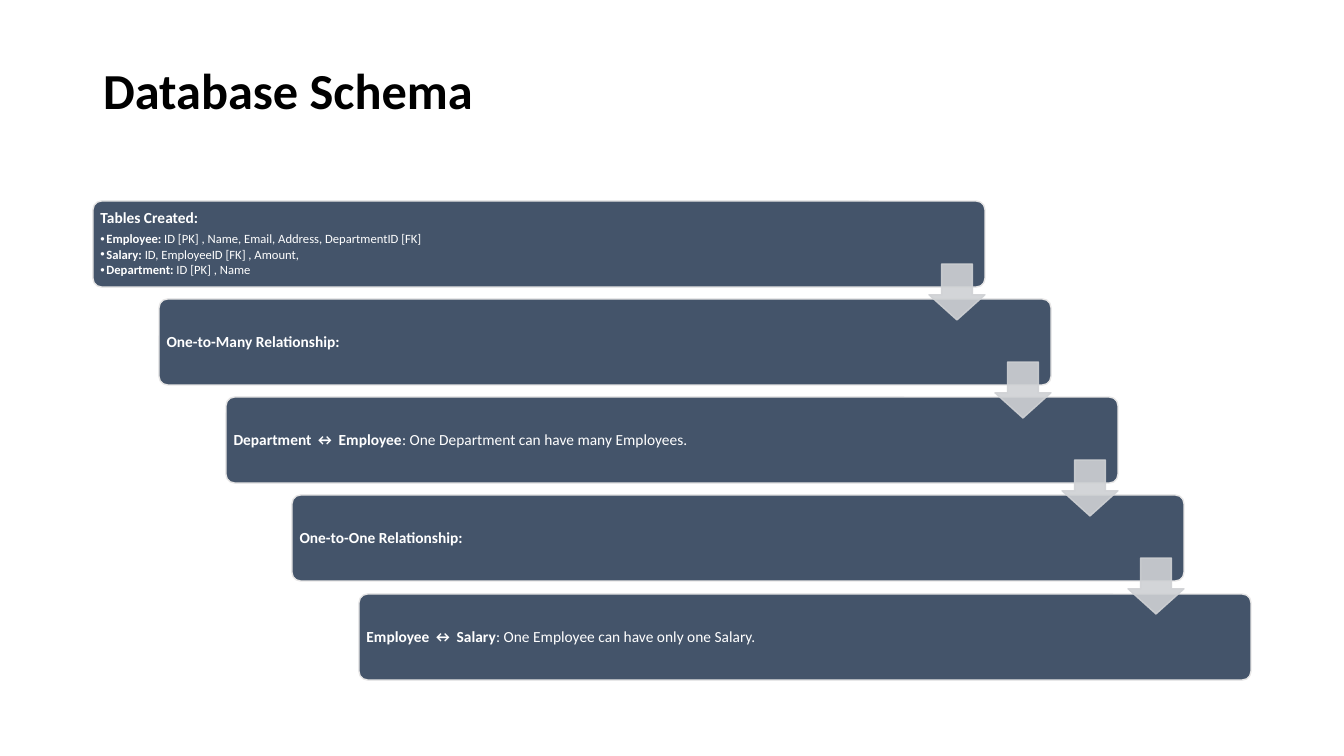
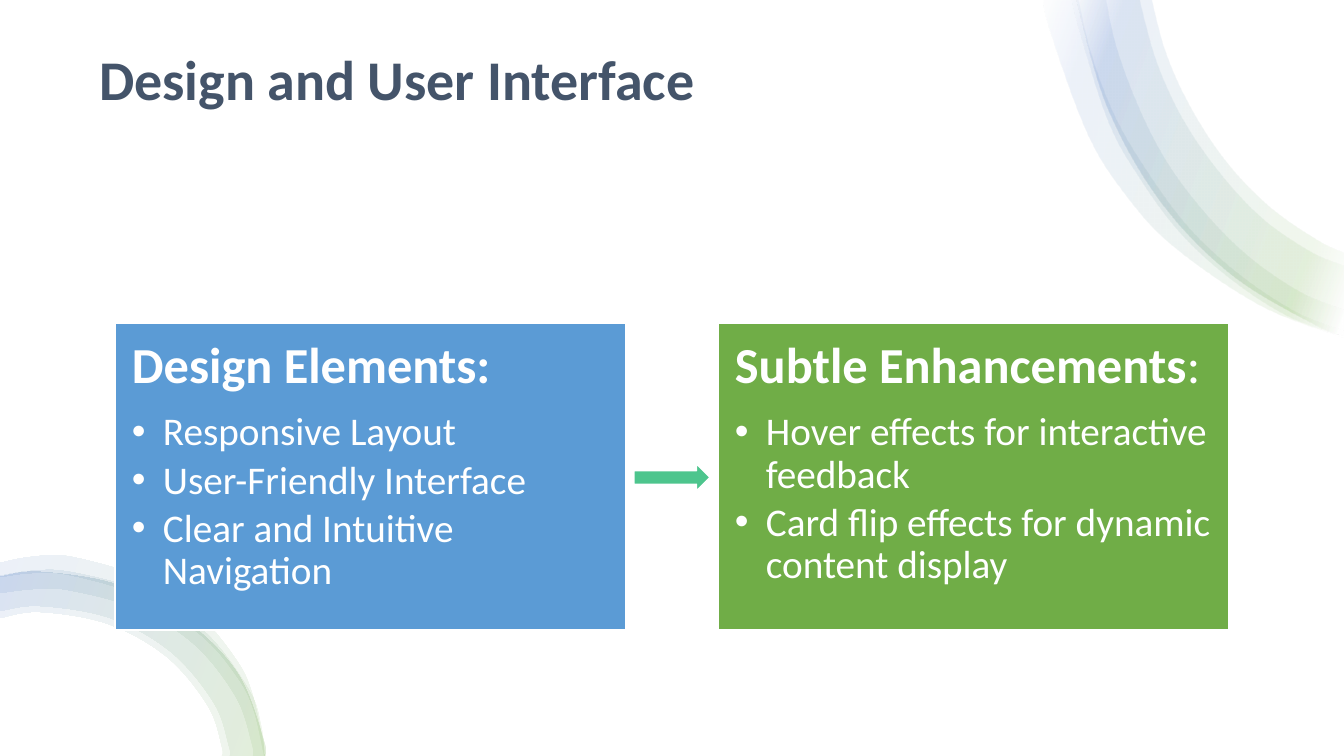
from lxml.etree import SubElement
from pptx import Presentation
from pptx.dml.color import RGBColor
from pptx.enum.shapes import MSO_SHAPE as SHAPE
from pptx.enum.text import MSO_ANCHOR as ANCHOR, MSO_AUTO_SIZE as AUTO, PP_ALIGN as ALIGN
from pptx.oxml import parse_xml
from pptx.oxml.ns import nsdecls, qn
from pptx.util import Pt

PX = 914400 / 100.8
FONT = "Calibri"
COLORS = {
    "black": "000000", "white": "FFFFFF", "slate": "44546A", "pale": "E7E6E6",
    "silver": "CFD1D4", "blue": "5B9BD5", "green": "70AD47", "mint": "4DC58D",
    "royal": "4472C4",
}
RGB = {name: RGBColor.from_string(value) for name, value in COLORS.items()}


def px(*lengths):
    """Turn px lengths into a list of EMU."""
    return [round(length * PX) for length in lengths]


def write_list(tf, entries, sizes, indent, insets):
    """Write a heading and bullets; each entry is a (bold, plain) pair."""
    tf.word_wrap, tf.auto_size = True, AUTO.NONE
    tf.margin_left, tf.margin_top = tf.margin_right, tf.margin_bottom = px(*insets)
    for i, entry in enumerate(entries):
        p = tf.add_paragraph() if i else tf.paragraphs[0]
        size, gap = (sizes[1], 0.15) if i else (sizes[0], 0.35)
        p.alignment, p.line_spacing = ALIGN.LEFT, 0.9
        p.space_before, p.space_after = Pt(0), Pt(size * gap)
        pPr = p._p.get_or_add_pPr()
        margin = px(indent)[0] if i else 0
        pPr.set("marL", str(margin))
        pPr.set("indent", str(-margin))
        if i:
            SubElement(pPr, qn("a:buFont")).set("typeface", "Arial")
            SubElement(pPr, qn("a:buChar")).set("char", "•")
        else:
            SubElement(pPr, qn("a:buNone"))
        for text, bold in zip(entry, (True, False)):
            if text:
                r = p.add_run()
                r.text = text
                r.font.name, r.font.size, r.font.bold = FONT, Pt(size), bold
                r.font.color.rgb = RGB["white"]


prs = Presentation()
prs.slide_width, prs.slide_height = px(1344, 756)

# Both slides and their titles
TITLES = [
    ("Database Schema", 5, (93, 62, 1159, 125), 4, 36, "black"),
    ("Design and User Interface", 3, (89, 50, 1166, 131), 2, 40, "slate"),
]
for text, layout, box, inset, size, color in TITLES:
    s = prs.slides.add_slide(prs.slide_layouts[layout])
    title = s.shapes.title
    title.left, title.top, title.width, title.height = px(*box)
    tf = title.text_frame
    tf.text = text
    tf.vertical_anchor, tf.auto_size, tf.word_wrap = ANCHOR.TOP, AUTO.NONE, True
    tf.margin_top = px(inset)[0]
    p = tf.paragraphs[0]
    p.alignment, p.line_spacing = ALIGN.LEFT, 0.9
    font = p.runs[0].font
    font.name, font.size, font.bold = FONT, Pt(size), True
    font.color.rgb = RGB[color]
schema, design = prs.slides

# Schema: a staircase of cards joined by arrows
CARDS = [
    [("Tables Created:", ""),
     ("Employee:", " ID [PK] , Name, Email, Address, DepartmentID [FK]"),
     ("Salary:", " ID, EmployeeID [FK] , Amount,"),
     ("Department:", " ID [PK] , Name")],
    [("One-to-Many Relationship:", "")],
    [("Department ↔ Employee", ": One Department can have many Employees.")],
    [("One-to-One Relationship:", "")],
    [("Employee ↔ Salary", ": One Employee can have only one Salary.")],
]
corners = [(93 + 266 * i // 4, 201 + 393 * i // 4) for i in range(len(CARDS))]
for (left, top), entries in zip(corners, CARDS):
    card = schema.shapes.add_shape(SHAPE.ROUNDED_RECTANGLE, *px(left, top, 892, 86))
    card.adjustments[0] = 0.1
    card.shadow.inherit = False
    card.fill.solid()
    card.fill.fore_color.rgb = RGB["slate"]
    card.line.color.rgb, card.line.width = RGB["pale"], Pt(1)
    card.text_frame.vertical_anchor = ANCHOR.MIDDLE
    write_list(card.text_frame, entries, (11, 9), 6, (5, 5))
for left, top in corners[:-1]:
    arrow = schema.shapes.add_shape(SHAPE.DOWN_ARROW, *px(left + 836, top + 63, 56, 56))
    arrow.adjustments[0], arrow.adjustments[1] = 0.55, 0.45
    arrow.shadow.inherit = False
    arrow.fill.solid()
    arrow.fill.fore_color.rgb = RGB["silver"]
    arrow.line.color.rgb, arrow.line.width = RGB["silver"], Pt(1)
    for clr in arrow._element.spPr.iter(qn("a:srgbClr")):
        SubElement(clr, qn("a:alpha")).set("val", "90000")

# Design: white backdrop behind everything
backdrop = design.shapes.add_shape(SHAPE.RECTANGLE, 0, 0, prs.slide_width, prs.slide_height)
backdrop.shadow.inherit = False
backdrop.fill.solid()
backdrop.fill.fore_color.rgb = RGB["white"]
backdrop.line.fill.background()
design.shapes.title._element.addprevious(backdrop._element)

# Design: translucent ribbons, each an outer edge and an inner edge back
TOP_EDGE = [(1344, 335), (1319, 327), (1233, 276), (1161, 202), (1108, 108), (1078, 4), (1076, -9)]
LOW_EDGE = [(265, 756), (264, 741), (238, 674), (186, 621), (118, 585), (40, 572), (0, 577)]
TOP_RIBBONS = [
    ([(1344, 338), (1261, 306), (1174, 247), (1125, 194), (1087, 132), (1049, 26), (1044, -9)],
     [(1077, -9), (1091, 52), (1115, 116), (1149, 174), (1190, 229), (1240, 275), (1296, 312),
      (1344, 331)]),
    (TOP_EDGE,
     [(1150, -9), (1167, 55), (1194, 113), (1229, 165), (1271, 208), (1317, 240), (1344, 253)]),
    ([(1344, 336), (1289, 317), (1233, 281), (1182, 235), (1141, 180), (1108, 120), (1077, 20),
      (1072, -9)],
     [(1105, -9), (1116, 44), (1138, 105), (1167, 162), (1205, 213), (1249, 257), (1300, 292),
      (1344, 310)]),
    (TOP_EDGE,
     [(1138, -9), (1156, 59), (1183, 119), (1220, 173), (1263, 219), (1311, 252), (1344, 266)]),
]
LOW_RIBBONS = [
    (LOW_EDGE,
     [(0, 618), (40, 612), (108, 624), (167, 657), (208, 706), (222, 747), (222, 756)]),
    (LOW_EDGE,
     [(0, 611), (40, 606), (110, 618), (171, 652), (214, 703), (229, 746), (230, 756)]),
    ([(265, 756), (261, 725), (249, 690), (205, 632), (143, 592), (70, 572), (31, 571), (0, 576)],
     [(0, 593), (33, 589), (68, 590), (135, 608), (194, 644), (236, 697), (252, 744), (253, 756)]),
    ([(266, 756), (252, 693), (235, 658), (198, 614), (149, 580), (72, 557), (31, 557), (0, 563)],
     [(0, 577), (32, 573), (70, 575), (140, 596), (202, 636), (238, 678), (254, 711), (264, 756)]),
]
FADES = [
    (TOP_RIBBONS, [(2, "white"), (16, "green"), (85, "royal"), (100, "white")]),
    (LOW_RIBBONS, [(0, "green"), (100, "royal")]),
]
for ribbons, fade in FADES:
    stops = "".join(
        f'<a:gs pos="{pos * 1000}"><a:srgbClr val="{COLORS[name]}">'
        f'<a:alpha val="10000"/></a:srgbClr></a:gs>' for pos, name in fade)
    gradient = (f'<a:gradFill {nsdecls("a")} rotWithShape="1"><a:gsLst>{stops}</a:gsLst>'
                f'<a:lin ang="{200 * 60000}" scaled="0"/></a:gradFill>')
    for edges in ribbons:
        outline = []
        for edge in edges:
            # Two handles and an end point for each smooth stretch
            outline.append(px(*edge[0]))
            knots = [edge[0], *edge, edge[-1]]
            for a, b, c, d in zip(knots, knots[1:], knots[2:], knots[3:]):
                outline.append(px(*(b[k] + (c[k] - a[k]) / 6 for k in (0, 1))))
                outline.append(px(*(c[k] - (d[k] - b[k]) / 6 for k in (0, 1))))
                outline.append(px(*c))
        builder = design.shapes.build_freeform(*outline[0])
        builder.add_line_segments(outline[1:], close=True)
        ribbon = builder.convert_to_shape()
        spPr = ribbon._element.spPr
        lines = list(spPr.iter(qn("a:lnTo")))
        first = 0
        for edge in edges:
            last = first + 3 * (len(edge) - 1)
            for curve, handle, end in zip(*(lines[first + k:last:3] for k in range(3))):
                curve.tag = qn("a:cubicBezTo")
                for line in (handle, end):
                    curve.append(line[0])
                    line.getparent().remove(line)
            first = last + 1
        ribbon.shadow.inherit = False
        ribbon.line.fill.background()
        ribbon.fill.background()
        spPr.replace(spPr.find(qn("a:noFill")), parse_xml(gradient))

# Design: two panels in front of the ribbons, with an arrow between
PANELS = [
    (115, "blue", [("Design Elements:", ""), ("", "Responsive Layout"),
                   ("", "User-Friendly Interface"), ("", "Clear and Intuitive Navigation")]),
    (718, "green", [("Subtle Enhancements", ":"), ("", "Hover effects for interactive feedback"),
                    ("", "Card flip effects for dynamic content display")]),
]
bodies = list(design.placeholders)[1:]
for panel, (left, color, entries) in zip(bodies, PANELS):
    design.shapes._spTree.append(panel._element)
    panel.left, panel.top, panel.width, panel.height = px(left, 323, 511, 307)
    panel.fill.solid()
    panel.fill.fore_color.rgb = RGB[color]
    panel.line.color.rgb, panel.line.width = RGB["white"], Pt(1)
    panel.text_frame.vertical_anchor = ANCHOR.TOP
    write_list(panel.text_frame, entries, (36, 28), 31, (17, 17))
arrow = design.shapes.add_shape(SHAPE.RIGHT_ARROW, *px(634, 464, 76, 27))
arrow.shadow.inherit = False
arrow.fill.solid()
arrow.fill.fore_color.rgb = RGB["mint"]
arrow.line.color.rgb, arrow.line.width = RGB["white"], Pt(1)

prs.save("out.pptx")
